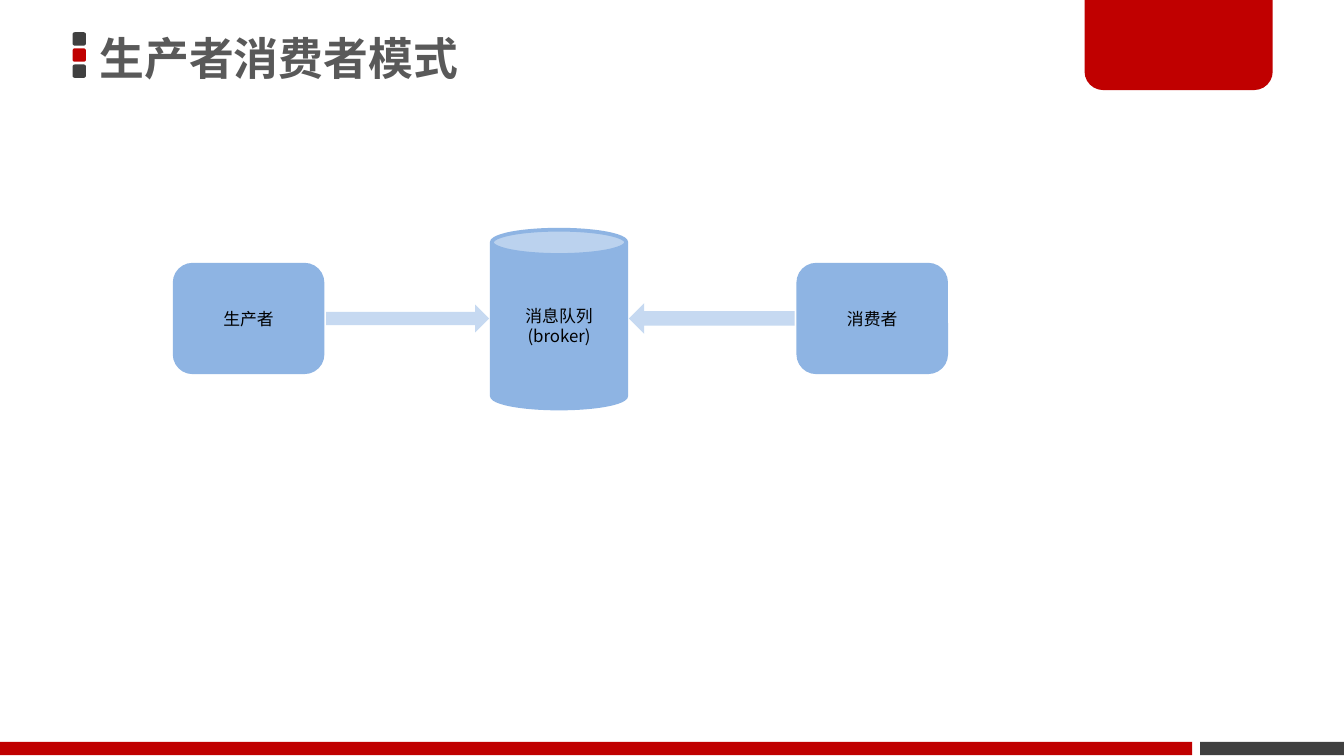
from lxml import etree
from pptx import Presentation
from pptx.dml.color import RGBColor
from pptx.enum.shapes import MSO_SHAPE
from pptx.enum.text import MSO_ANCHOR, PP_ALIGN
from pptx.oxml.ns import qn
from pptx.util import Inches, Pt

RECT = MSO_SHAPE.RECTANGLE
ROUND = MSO_SHAPE.ROUNDED_RECTANGLE
TAB = MSO_SHAPE.ROUND_2_SAME_RECTANGLE
CAN = MSO_SHAPE.CAN
ARROW = MSO_SHAPE.RIGHT_ARROW
MIDDLE = MSO_ANCHOR.MIDDLE
CENTER = PP_ALIGN.CENTER

RED = RGBColor(0xC0, 0x00, 0x00)
DARK = RGBColor(0x40, 0x40, 0x40)
GREY = RGBColor(0x59, 0x59, 0x59)
BLUE = RGBColor(0x8E, 0xB4, 0xE3)
PALE = RGBColor(0xC6, 0xD9, 0xF1)
BLACK = RGBColor(0x00, 0x00, 0x00)
FONT = "Noto Sans CJK SC"


def add_box(kind, x, y, w, h, fill, line=None):
    sp = s.shapes.add_shape(kind, Inches(x), Inches(y), Inches(w), Inches(h))
    sp.shadow.inherit = False
    sp.fill.solid()
    sp.fill.fore_color.rgb = fill
    if line is None:
        sp.line.fill.background()
    else:
        sp.line.color.rgb = line
        sp.line.width = Pt(2)
        ln = sp._element.spPr.find(qn("a:ln"))
        etree.SubElement(ln, qn("a:miter"), lim="800000")
    return sp


def add_run(p, text, size, color, bold=False):
    r = p.add_run()
    r.text = text
    r.font.size = Pt(size)
    r.font.bold = bold
    r.font.name = FONT
    r.font.color.rgb = color
    etree.SubElement(r.font._element, qn("a:ea"), typeface=FONT)


prs = Presentation()
prs.slide_width = Inches(10)
prs.slide_height = Inches(10) * 9 // 16
s = prs.slides.add_slide(prs.slide_layouts[6])

for i, color in enumerate((DARK, RED, DARK)):
    add_box(ROUND, 0.54, 0.24 + i * 0.12, 0.1, 0.1, color)

add_box(RECT, 8.93, 5.52, 1.07, 0.1, DARK)
tab = add_box(TAB, 8.07, -0.02, 1.4, 0.69, RED)
tab.adjustments[0] = 0
tab.adjustments[1] = 0.2
add_box(RECT, 0, 5.52, 8.87, 0.1, RED)

title = s.shapes.add_textbox(Inches(0.66), Inches(0.01), Inches(5.02), Inches(0.89))
tf = title.text_frame
tf.word_wrap = True
tf.vertical_anchor = MIDDLE
tf.margin_left = tf.margin_right = Inches(0.08)
tf.margin_top = tf.margin_bottom = Inches(0.04)
p = tf.paragraphs[0]
p.line_spacing = 0.9
add_run(p, "生产者消费者模式", 24, GREY, True)

nodes = [
    (CAN, 3.66, 1.71, 1, 1.33, 0.188, ["消息队列", "(broker)"]),
    (ROUND, 1.3, 1.97, 1.1, 0.8, 0.167, ["生产者"]),
    (ROUND, 5.94, 1.97, 1.1, 0.8, 0.167, ["消费者"]),
]
for kind, x, y, w, h, adj, lines in nodes:
    sp = add_box(kind, x, y, w, h, BLUE, BLUE)
    sp.adjustments[0] = adj
    tf = sp.text_frame
    tf.word_wrap = True
    tf.vertical_anchor = MIDDLE
    for i, text in enumerate(lines):
        p = tf.add_paragraph() if i else tf.paragraphs[0]
        p.alignment = CENTER
        add_run(p, text, 9, BLACK)

add_box(ARROW, 2.44, 2.3, 1.18, 0.14, PALE, PALE)
consume = add_box(ARROW, 4.7, 2.29, 1.2, 0.16, PALE, PALE)
consume._element.spPr.find(qn("a:xfrm")).set("flipH", "1")

prs.save("out.pptx")
